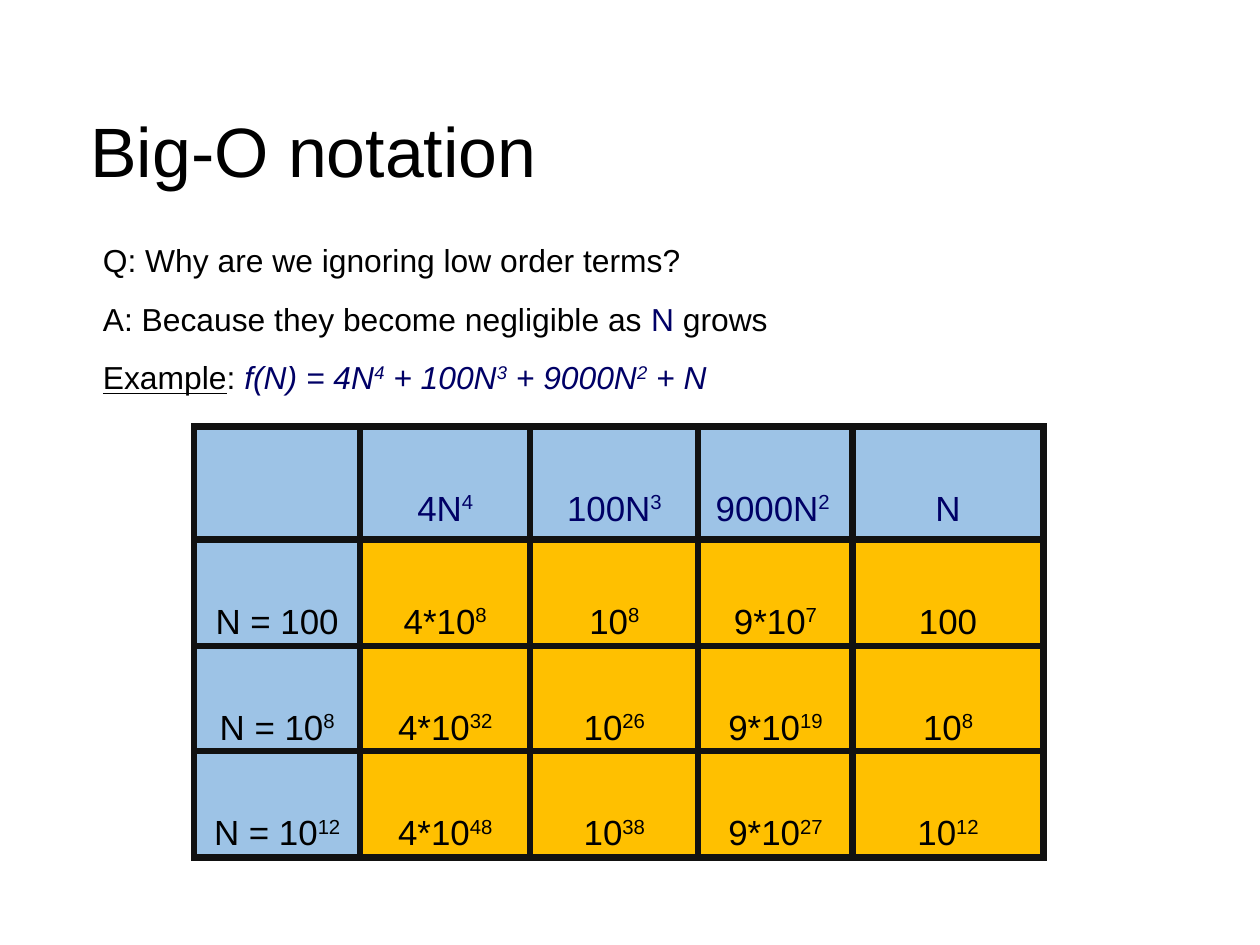
"""Build the Big-O notation slide with its growth table."""
from dataclasses import dataclass

from lxml.etree import SubElement
from pptx import Presentation
from pptx.dml.color import RGBColor
from pptx.enum.text import MSO_ANCHOR, PP_ALIGN
from pptx.oxml.ns import qn
from pptx.slide import Slide
from pptx.table import _Cell
from pptx.text.text import TextFrame, _Paragraph
from pptx.util import Inches, Pt


@dataclass(frozen=True)
class Theme:
    """Colours and type sizes of the slide."""

    font: str = "Arial"
    ink: str = "000000"
    formula: str = "000066"
    header: str = "9DC3E6"
    value: str = "FFC000"
    border: str = "111111"
    title_size: float = 44
    body_size: float = 20
    table_size: float = 22
    border_width: float = 4.54


@dataclass(frozen=True)
class TextRun:
    """A stretch of text with one look."""

    text: str
    color: str
    italic: bool = False
    underline: bool = False
    superscript: bool = False


@dataclass(frozen=True)
class Box:
    """A rectangle in inches."""

    left: float
    top: float
    width: float
    height: float


THEME = Theme()
CENTIMETRES_PER_INCH = 2.54
SLIDE_WIDTH = Inches(28 / CENTIMETRES_PER_INCH)
SLIDE_HEIGHT = Inches(21 / CENTIMETRES_PER_INCH)
TITLE_BOX = Box(0.79, 0.75, 9.25, 1.12)
BODY_BOX = Box(0.79, 2.13, 9.68, 5.21)
TABLE_BOX = Box(1.7, 3.73, 7.43, 3.77)
COLUMN_WIDTHS = (1.45, 1.49, 1.47, 1.35, 1.67)
ROW_HEIGHTS = (0.99, 0.93, 0.92, 0.93)
GROWTH_ROWS = (
    ("", "4N^4", "100N^3", "9000N^2 ", "N"),
    ("N = 100", "4*10^8", "10^8", "9*10^7", "100"),
    ("N = 10^8", "4*10^32", "10^26", "9*10^19", "10^8"),
    ("N = 10^12", "4*10^48", "10^38", "9*10^27", "10^12"),
)


def power_runs(text: str, color: str, italic: bool = False) -> list[TextRun]:
    """Split a term such as N^4 into a base and a raised exponent."""
    base, _, exponent = text.partition("^")
    runs = [TextRun(base, color, italic)]
    if exponent:
        runs.append(TextRun(exponent, color, italic, superscript=True))
    return runs


def body_lines() -> list[list[TextRun]]:
    """Return the question, the answer and the example."""
    terms = ("f(N) = 4N^4", " + 100N^3", " + 9000N^2", " + N")
    example = [TextRun("Example", THEME.ink, underline=True), TextRun(": ", THEME.ink)]
    for term in terms:
        example += power_runs(term, THEME.formula, italic=True)
    return [
        [TextRun("Q: Why are we ignoring low order terms?", THEME.ink)],
        [
            TextRun("A: Because they become negligible as ", THEME.ink),
            TextRun("N", THEME.formula),
            TextRun(" grows", THEME.ink),
        ],
        example,
    ]


def add_runs(paragraph: _Paragraph, runs: list[TextRun], size: float) -> None:
    """Write styled runs into a paragraph."""
    for item in runs:
        run = paragraph.add_run()
        run.text = item.text
        run.font.name = THEME.font
        run.font.size = Pt(size)
        run.font.color.rgb = RGBColor.from_string(item.color)
        run.font.italic = item.italic
        run.font.underline = item.underline
        if item.superscript:
            run._r.get_or_add_rPr().set("baseline", "33000")


def add_text_box(slide: Slide, box: Box, anchor: MSO_ANCHOR) -> TextFrame:
    """Add a wrapping text box without insets."""
    shape = slide.shapes.add_textbox(
        Inches(box.left), Inches(box.top), Inches(box.width), Inches(box.height)
    )
    frame = shape.text_frame
    frame.word_wrap = True
    frame.vertical_anchor = anchor
    frame.margin_left = frame.margin_right = Inches(0)
    frame.margin_top = frame.margin_bottom = Inches(0)
    return frame


def add_body(slide: Slide) -> None:
    """Add the three lines above the table."""
    frame = add_text_box(slide, BODY_BOX, MSO_ANCHOR.TOP)
    for index, runs in enumerate(body_lines()):
        paragraph = frame.add_paragraph() if index else frame.paragraphs[0]
        paragraph.line_spacing = 0.95
        paragraph.space_after = Pt(14.2)
        paragraph._p.get_or_add_pPr().set("marL", str(Inches(0.11)))
        add_runs(paragraph, runs, THEME.body_size)


def add_borders(cell: _Cell) -> None:
    """Draw the four borders of a cell."""
    properties = cell._tc.get_or_add_tcPr()
    for position, side in enumerate(("lnL", "lnR", "lnT", "lnB")):
        line = SubElement(properties, qn(f"a:{side}"), w=str(Pt(THEME.border_width)))
        fill = SubElement(line, qn("a:solidFill"))
        SubElement(fill, qn("a:srgbClr"), val=THEME.border)
        properties.insert(position, line)


def fill_cell(cell: _Cell, text: str, fill: str, color: str) -> None:
    """Colour a cell, frame it and write its term."""
    cell.fill.solid()
    cell.fill.fore_color.rgb = RGBColor.from_string(fill)
    add_borders(cell)
    if text:
        cell.margin_top = Inches(0.67)
        cell.margin_bottom = Inches(0.04)
        paragraph = cell.text_frame.paragraphs[0]
        paragraph.alignment = PP_ALIGN.CENTER
        paragraph.line_spacing = 0.58
        add_runs(paragraph, power_runs(text, color), THEME.table_size)


def add_growth_table(slide: Slide) -> None:
    """Add the table that compares the terms as N grows."""
    table = slide.shapes.add_table(
        len(ROW_HEIGHTS), len(COLUMN_WIDTHS),
        Inches(TABLE_BOX.left), Inches(TABLE_BOX.top),
        Inches(TABLE_BOX.width), Inches(TABLE_BOX.height),
    ).table
    table.first_row = table.horz_banding = False
    for column, width in zip(table.columns, COLUMN_WIDTHS):
        column.width = Inches(width)
    for row, height in zip(table.rows, ROW_HEIGHTS):
        row.height = Inches(height)
    for row_index, terms in enumerate(GROWTH_ROWS):
        color = THEME.ink if row_index else THEME.formula
        for column_index, term in enumerate(terms):
            fill = THEME.value if row_index and column_index else THEME.header
            fill_cell(table.cell(row_index, column_index), term, fill, color)


def main() -> None:
    """Build and save the presentation."""
    presentation = Presentation()
    presentation.slide_width = SLIDE_WIDTH
    presentation.slide_height = SLIDE_HEIGHT
    slide = presentation.slides.add_slide(presentation.slide_layouts[6])
    title = add_text_box(slide, TITLE_BOX, MSO_ANCHOR.MIDDLE)
    add_runs(title.paragraphs[0], [TextRun("Big-O notation", THEME.ink)], THEME.title_size)
    add_body(slide)
    add_growth_table(slide)
    presentation.save("out.pptx")


if __name__ == "__main__":
    main()
